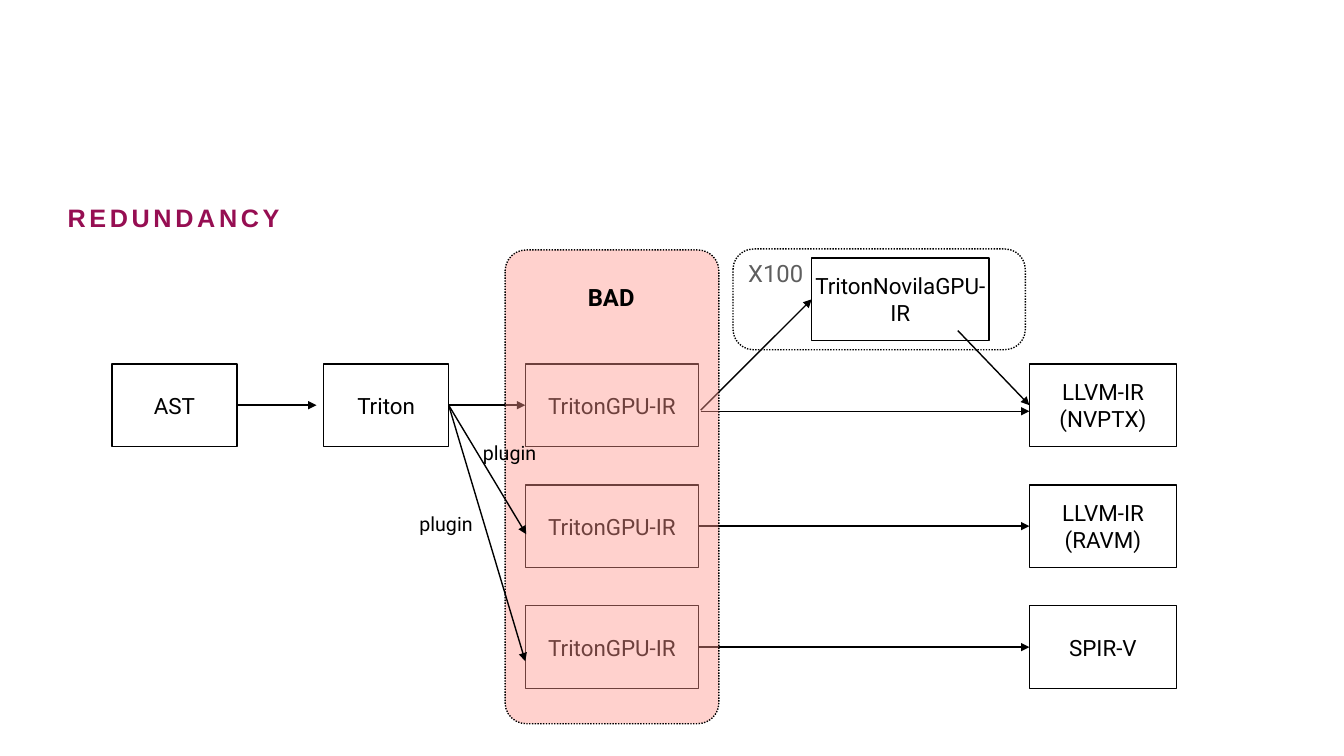
from dataclasses import dataclass

from lxml import etree
from pptx import Presentation
from pptx.dml.color import RGBColor
from pptx.enum.dml import MSO_LINE
from pptx.enum.shapes import MSO_CONNECTOR, MSO_SHAPE
from pptx.enum.text import MSO_ANCHOR, MSO_AUTO_SIZE, PP_ALIGN
from pptx.oxml.ns import qn
from pptx.util import Pt

PX = 9144  # EMU per px, 100 px to the inch
LEFT, RIGHT = 1, 3
TITLE_ONLY = 5
RECT, ROUND_RECT = MSO_SHAPE.RECTANGLE, MSO_SHAPE.ROUNDED_RECTANGLE
STRAIGHT = MSO_CONNECTOR.STRAIGHT
DOTTED = MSO_LINE.ROUND_DOT
TOP, MIDDLE = MSO_ANCHOR.TOP, MSO_ANCHOR.MIDDLE
ALIGN_LEFT, ALIGN_CENTER = PP_ALIGN.LEFT, PP_ALIGN.CENTER
NO_FIT, GROW = MSO_AUTO_SIZE.NONE, MSO_AUTO_SIZE.SHAPE_TO_FIT_TEXT


@dataclass(frozen=True)
class Theme:
    heading: str = "960E52"
    ink: str = "000000"
    muted: str = "5E5E5E"
    warning: str = "FF968D"
    warning_alpha: int = 43
    heading_font: str = "Arial"
    body_font: str = "Roboto"
    heading_size: int = 18
    heading_tracking: int = 260
    label_size: int = 17
    stage_size: int = 16
    note_size: int = 14
    line_width: int = 1


THEME = Theme()

TITLE = ("REDUNDANCY", (67, 201, 600, 31))

ROW_TOP, ROW_STEP, STAGE_HEIGHT = 361, 120, 82
COLUMNS = {"ast": (111, 124), "triton": (321, 124),
           "gpu": (521, 172), "target": (1021, 146)}  # left, width

# key: (text, column, row)
STAGES = {
    "ast": ("AST", "ast", 0),
    "triton": ("Triton", "triton", 0),
    "gpu_nvptx": ("TritonGPU-IR", "gpu", 0),
    "gpu_ravm": ("TritonGPU-IR", "gpu", 1),
    "gpu_spirv": ("TritonGPU-IR", "gpu", 2),
    "nvptx": ("LLVM-IR\n(NVPTX)", "target", 0),
    "ravm": ("LLVM-IR\n(RAVM)", "target", 1),
    "spirv": ("SPIR-V", "target", 2),
}
VENDOR_STAGE = ("TritonNovilaGPU-IR", (805, 256, 176, STAGE_HEIGHT))

# Each end is a joined (stage, side) or a free (x, y)
FLOW_ARROWS = [
    (("ast", RIGHT), (314, 402)),
    (("triton", RIGHT), ("gpu_nvptx", LEFT)),
    ((695, 407), ("vendor", LEFT)),
    ((950, 328), ("nvptx", LEFT)),
    ((695, 408), (1021, 408)),
    (("gpu_ravm", RIGHT), ("ravm", LEFT)),
    (("gpu_spirv", RIGHT), ("spirv", LEFT)),
]
PLUGIN_ARROWS = [
    (("triton", RIGHT), (522, 530)),
    (("triton", RIGHT), (521, 656)),
]

# at, corner ratio, filled
FRAMES = [((727, 247, 290, 100), 0.204, False),
          ((501, 248, 212, 470), 0.098, True)]

# text, at, size, colour, bold
LABELS = [
    ("X100", (739, 256, 63, 33), THEME.label_size, THEME.muted, False),
    ("BAD", (580, 279, 57, 34), THEME.label_size, THEME.ink, True),
    ("plugin", (413, 508, 60, 27), THEME.note_size, THEME.ink, False),
    ("plugin", (476, 437, 60, 27), THEME.note_size, THEME.ink, False),
]


def emu(lengths):
    return [length * PX for length in lengths]


def apply(target, values):
    for attribute, value in values.items():
        setattr(target, attribute, value)


def write(frame, text, size, color, font=THEME.body_font, bold=False,
          align=ALIGN_CENTER, inset=3, spacing=1.0, anchor=MIDDLE,
          wrap=True, fit=NO_FIT):
    frame.text = text
    margins = ("margin_left", "margin_top", "margin_right", "margin_bottom")
    apply(frame, dict.fromkeys(margins, inset * PX))
    apply(frame, {"vertical_anchor": anchor, "word_wrap": wrap, "auto_size": fit})
    for paragraph in frame.paragraphs:
        apply(paragraph, {"alignment": align, "line_spacing": spacing})
        for run in paragraph.runs:
            apply(run.font, {"name": font, "size": Pt(size), "bold": bold})
            run.font.color.rgb = RGBColor.from_string(color)


def draw_outline(line):
    line.color.rgb = RGBColor.from_string(THEME.ink)
    line.width = Pt(THEME.line_width)


def add_outlined(slide, preset, at):
    shape = slide.shapes.add_shape(preset, *emu(at))
    shape.shadow.inherit = False
    shape.fill.background()
    draw_outline(shape.line)
    return shape


def add_stage(slide, text, at):
    stage = add_outlined(slide, RECT, at)
    write(stage.text_frame, text, THEME.stage_size, THEME.ink)
    return stage


def add_frame(slide, at, corner, filled):
    frame = add_outlined(slide, ROUND_RECT, at)
    frame.adjustments[0] = corner
    frame.line.dash_style = DOTTED
    if filled:
        frame.fill.solid()
        frame.fill.fore_color.rgb = RGBColor.from_string(THEME.warning)
        tint = frame.fill._xPr.find(qn("a:solidFill"))[0]
        etree.SubElement(tint, qn("a:alpha"), val=str(THEME.warning_alpha * 1000))


def add_arrow(slide, stages, start, end):
    joined_start, joined_end = start[0] in stages, end[0] in stages
    begin = (0, 0) if joined_start else emu(start)
    finish = (0, 0) if joined_end else emu(end)
    arrow = slide.shapes.add_connector(STRAIGHT, *begin, *finish)
    if joined_start:
        arrow.begin_connect(stages[start[0]], start[1])
    if joined_end:
        arrow.end_connect(stages[end[0]], end[1])
    draw_outline(arrow.line)
    properties = arrow.line._get_or_add_ln()
    etree.SubElement(properties, qn("a:tailEnd"), type="triangle")
    etree.SubElement(properties.getparent(), qn("a:effectLst"))


def add_label(slide, text, at, size, color, bold):
    label = slide.shapes.add_textbox(*emu(at))
    write(label.text_frame, text, size, color, bold=bold, align=ALIGN_LEFT,
          spacing=0.9, wrap=False, fit=GROW)


def add_title(slide, text, at):
    title = slide.shapes.title
    apply(title, dict(zip(("left", "top", "width", "height"), emu(at))))
    write(title.text_frame, text, THEME.heading_size, THEME.heading,
          font=THEME.heading_font, bold=True, align=ALIGN_LEFT, inset=0,
          anchor=TOP, fit=GROW)
    run = title.text_frame.paragraphs[0].runs[0]
    run.font._element.set("spc", str(THEME.heading_tracking))


def main():
    deck = Presentation()
    deck.slide_width, deck.slide_height = emu((1333, 750))
    slide = deck.slides.add_slide(deck.slide_layouts[TITLE_ONLY])
    add_title(slide, *TITLE)

    stages = {}
    for key, (text, column, row) in STAGES.items():
        left, width = COLUMNS[column]
        at = (left, ROW_TOP + row * ROW_STEP, width, STAGE_HEIGHT)
        stages[key] = add_stage(slide, text, at)
    stages["vendor"] = add_stage(slide, *VENDOR_STAGE)

    for ends in FLOW_ARROWS:
        add_arrow(slide, stages, *ends)
    for frame in FRAMES:
        add_frame(slide, *frame)
    for label in LABELS:
        add_label(slide, *label)
    for ends in PLUGIN_ARROWS:
        add_arrow(slide, stages, *ends)
    deck.save("out.pptx")


if __name__ == "__main__":
    main()
